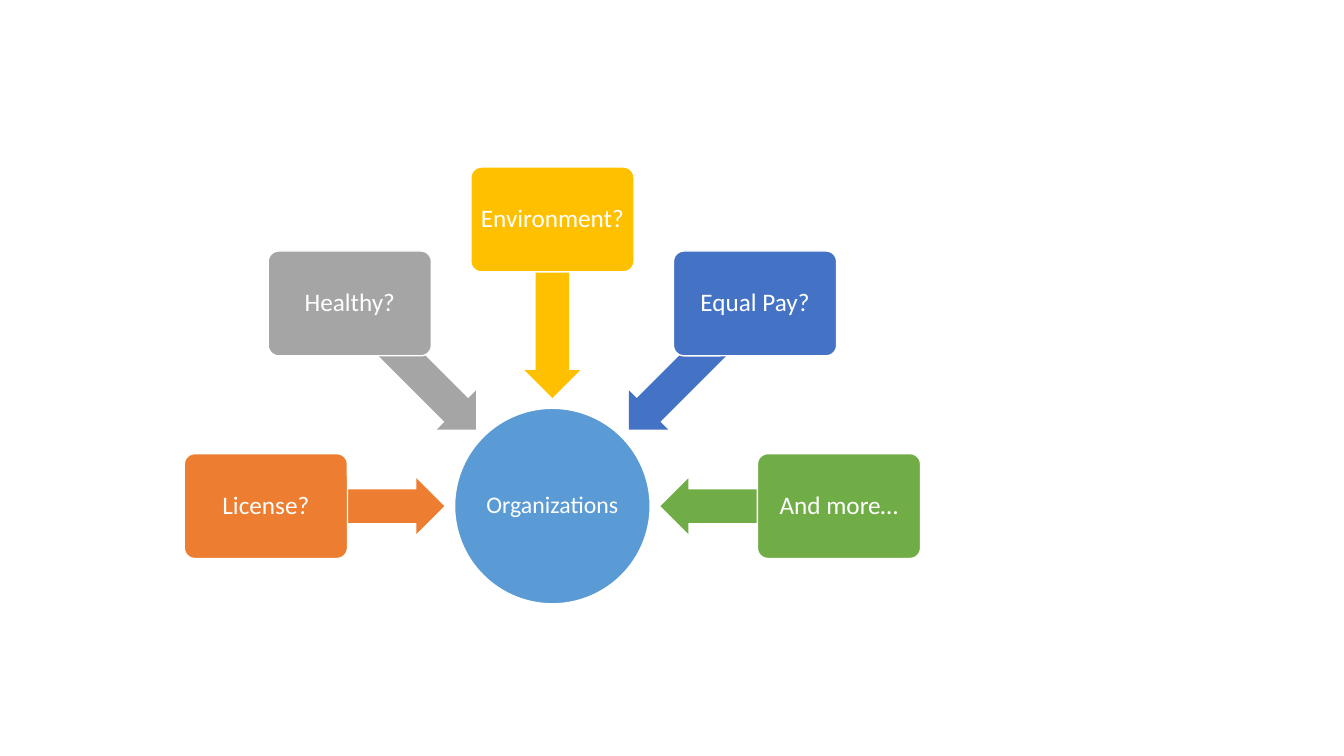
from math import cos, radians, sin

from pptx import Presentation
from pptx.dml.color import RGBColor
from pptx.enum.shapes import MSO_SHAPE
from pptx.enum.text import MSO_ANCHOR, PP_ALIGN
from pptx.util import Pt

ELLIPSE = MSO_SHAPE.OVAL
ARROW = MSO_SHAPE.LEFT_ARROW
ROUNDED = MSO_SHAPE.ROUNDED_RECTANGLE
MIDDLE = MSO_ANCHOR.MIDDLE
CENTER = PP_ALIGN.CENTER

# Radial layout, in points
HUB_X, HUB_Y = 394.6, 361.5
HUB_SIZE = 139.7
BOX_RADIUS, BOX_WIDTH, BOX_HEIGHT = 204.7, 116.6, 74.9
ARROW_RADIUS, ARROW_WIDTH, ARROW_HEIGHT = 140.9, 127.4, 39.8
ANGLE_STEP = 45

TOPICS = [
    ("License?", "ED7D31"),
    ("Healthy?", "A5A5A5"),
    ("Environment?", "FFC000"),
    ("Equal Pay?", "4472C4"),
    ("And more…", "70AD47"),
]

deck = Presentation()
deck.slide_width, deck.slide_height = Pt(960), Pt(540)
page = deck.slides.add_slide(deck.slide_layouts[6])


def color(value):
    return RGBColor.from_string(value)


def add_radial(kind, angle, radius, width, height, fill, text="", size=18, inset=2.88):
    """Add a shape centred at an angle and radius from the hub's centre."""
    left = HUB_X + radius * cos(radians(angle)) - width / 2
    top = HUB_Y + radius * sin(radians(angle)) - height / 2
    shape = page.shapes.add_shape(kind, Pt(left), Pt(top), Pt(width), Pt(height))
    shape.shadow.inherit = False
    shape.fill.solid()
    shape.fill.fore_color.rgb = color(fill)
    if not text:
        shape.line.fill.background()
        return shape
    shape.line.color.rgb = color("FFFFFF")
    shape.line.width = Pt(1)
    frame = shape.text_frame
    frame.word_wrap = True
    frame.vertical_anchor = MIDDLE
    frame.margin_left = frame.margin_right = Pt(inset)
    frame.margin_top = frame.margin_bottom = Pt(inset)
    para = frame.paragraphs[0]
    para.text = text
    para.alignment = CENTER
    para.line_spacing = 0.9
    para.font.name = "Calibri"
    para.font.size = Pt(size)
    para.font.color.rgb = color("FFFFFF")
    return shape


# Hub
add_radial(ELLIPSE, 0, 0, HUB_SIZE, HUB_SIZE, "5B9BD5", "Organizations", 17, 0.72)

# Topics, clockwise from the left, each with an arrow towards the hub
for index, (topic, fill) in enumerate(TOPICS):
    angle = 180 + index * ANGLE_STEP
    arrow = add_radial(ARROW, angle, ARROW_RADIUS, ARROW_WIDTH, ARROW_HEIGHT, fill)
    arrow.rotation = angle % 360
    arrow.adjustments[0] = 0.6
    arrow.adjustments[1] = 0.5
    box = add_radial(ROUNDED, angle, BOX_RADIUS, BOX_WIDTH, BOX_HEIGHT, fill, topic)
    box.adjustments[0] = 0.1

deck.save("out.pptx")
